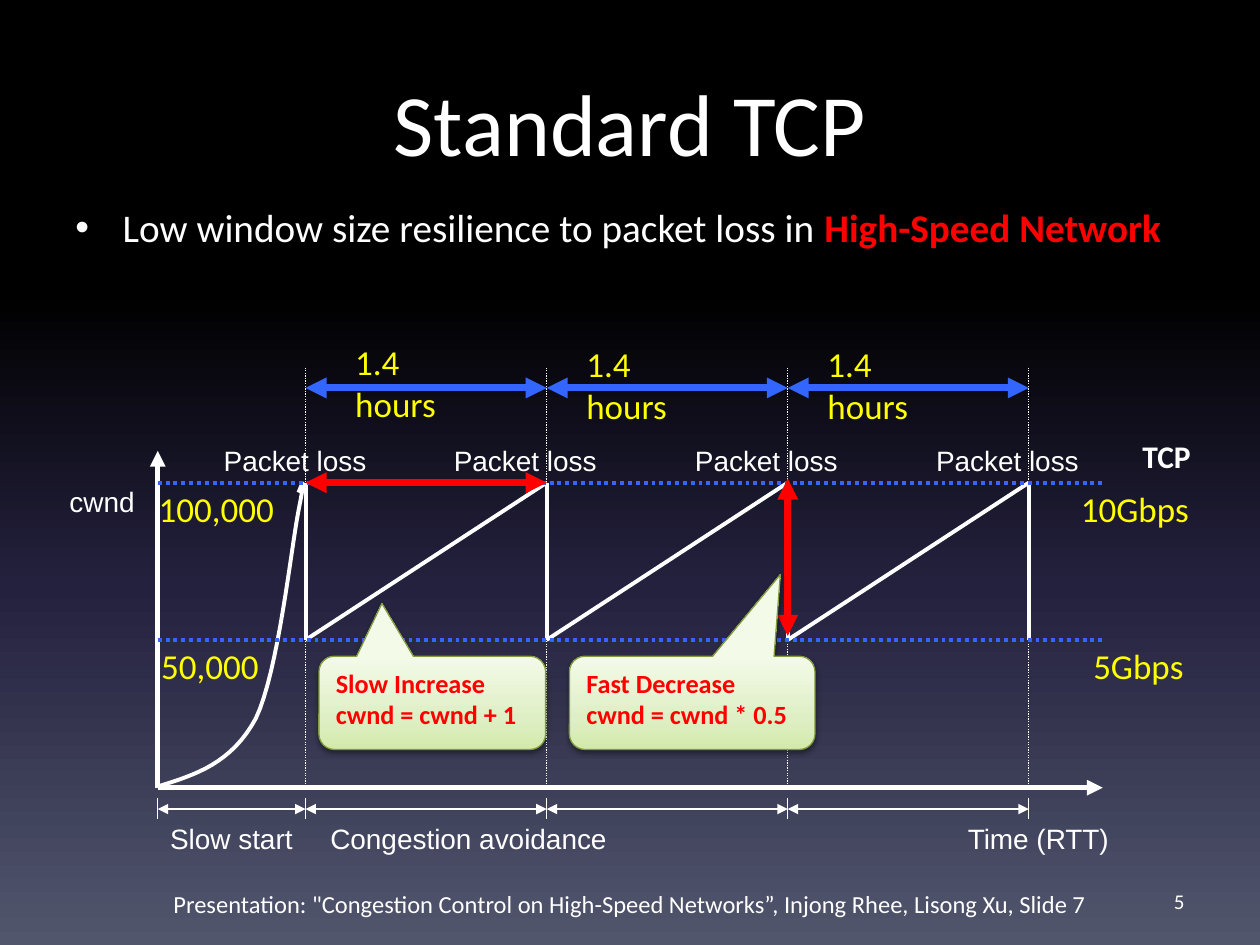
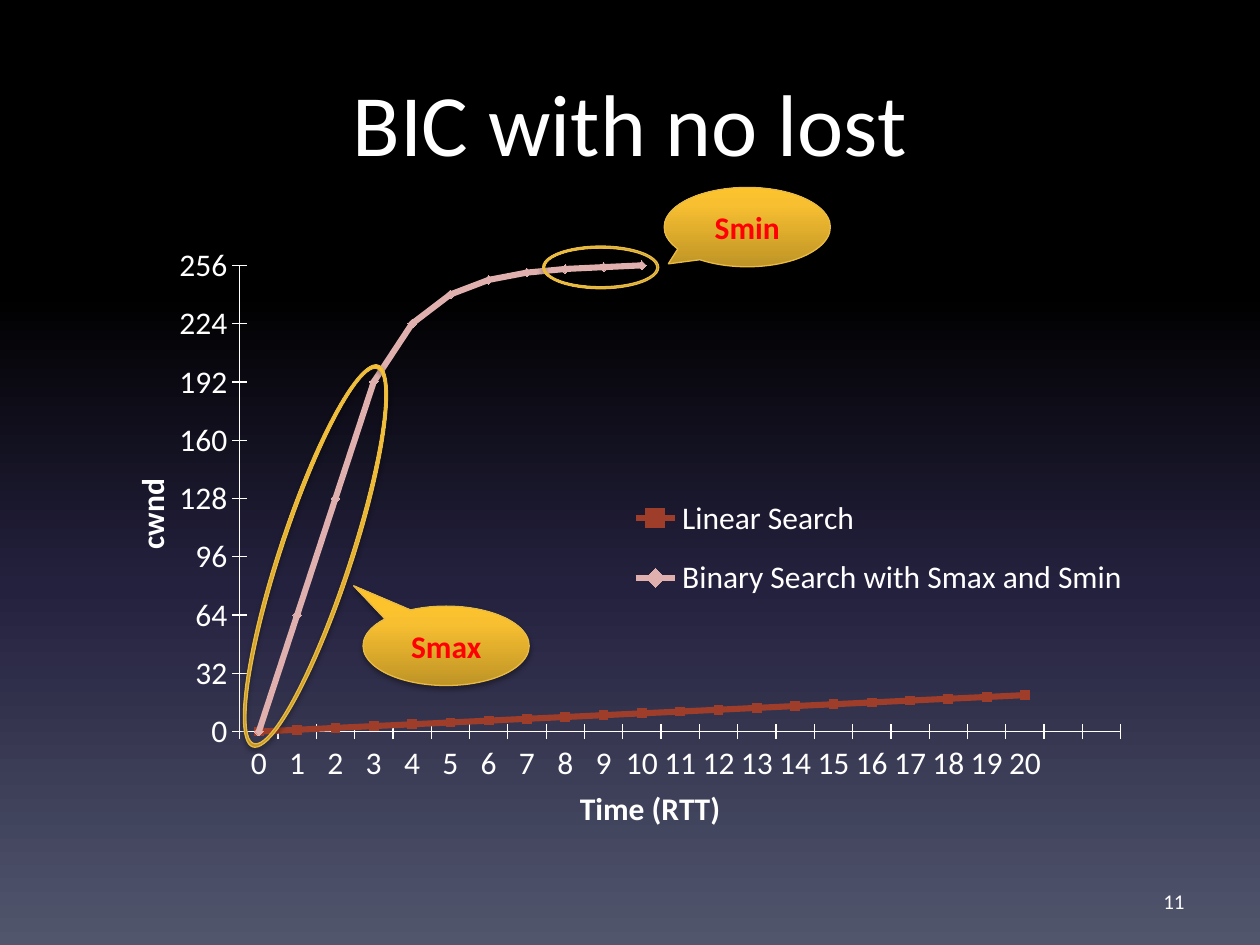
import pptx
import pptx.chart.data
import pptx.dml.color
import pptx.enum.chart
import pptx.enum.dml
import pptx.enum.shapes
import pptx.enum.text
import pptx.oxml
import pptx.oxml.ns
import pptx.util

Cm, Pt, qn = pptx.util.Cm, pptx.util.Pt, pptx.oxml.ns.qn
SHAPE = pptx.enum.shapes.MSO_SHAPE
ALIGN = pptx.enum.text.PP_ALIGN
ANCHOR = pptx.enum.text.MSO_ANCHOR
NS = 'xmlns:a="http://schemas.openxmlformats.org/drawingml/2006/main"'
CNS = 'xmlns:c="http://schemas.openxmlformats.org/drawingml/2006/chart"'

WHITE, RED, YELLOW, BLUE = "FFFFFF", "FF0000", "FFFF00", "3366FF"
NIGHT = [(0, "000000"), (31, "000000"), (62, "24213E"), (100, "51566D")]
GREEN = [(0, "D3EAAB"), (35, "DFEFC5"), (100, "F3FAE8")]
GOLD = [(0, "BF9426"), (80, "F8C031"), (100, "FDC32D")]
GREEN_LINE, GOLD_LINE = "819B3D", "E7BA45"
LINEAR, BINARY = "9E3E2A", "E0B0AE"


def rgb(color):
    """Turn a hex string into a colour."""
    return pptx.dml.color.RGBColor.from_string(color)


def xml(tag, attrs="", inner="", ns=NS):
    """Make one XML element."""
    return pptx.oxml.parse_xml(f"<{tag} {ns} {attrs}>{inner}</{tag}>")


def gradient(fill, element, stops, angle):
    """Fill with a linear gradient of several stops."""
    fill.gradient()
    fill.gradient_angle = angle
    stop_list = element.find(".//" + qn("a:gsLst"))
    for old in list(stop_list):
        stop_list.remove(old)
    for pos, color in stops:
        stop_list.append(xml("a:gs", f'pos="{pos * 1000}"', f'<a:srgbClr val="{color}"/>'))


def style(p, size, color=WHITE, font="Calibri", bold=False):
    """Format all runs of a paragraph."""
    for r in p.runs:
        r.font.size, r.font.name, r.font.bold = Pt(size), font, bold
        r.font.color.rgb = rgb(color)


def text(s, x, y, w, h, words, size, color=WHITE, font="Calibri", bold=False,
         align=ALIGN.LEFT, anchor=ANCHOR.TOP, wrap=False):
    """Add a text box and return its text frame."""
    tf = s.shapes.add_textbox(Cm(x), Cm(y), Cm(w), Cm(h)).text_frame
    tf.word_wrap, tf.vertical_anchor = wrap, anchor
    tf.text = words
    tf.paragraphs[0].alignment = align
    style(tf.paragraphs[0], size, color, font, bold)
    return tf


def label(s, x, y, w, words):
    """Add a small diagram label."""
    text(s, x, y, w, 0.94, words, 16, font="Arial")


def value(s, x, y, w, words):
    """Add a yellow value."""
    text(s, x, y, w, 1.12, words, 20, YELLOW)


def line(s, x1, y1, x2, y2, width, color=WHITE, dotted=False, head=False, tail=False):
    """Add a straight line with optional arrowheads."""
    c = s.shapes.add_connector(pptx.enum.shapes.MSO_CONNECTOR.STRAIGHT,
                               Cm(x1), Cm(y1), Cm(x2), Cm(y2))
    c.line.width, c.line.color.rgb = Pt(width), rgb(color)
    if dotted:
        c.line.dash_style = pptx.enum.dml.MSO_LINE.ROUND_DOT
    ln = c.line._get_or_add_ln()
    for tag, wanted in (("a:headEnd", head), ("a:tailEnd", tail)):
        if wanted:
            ln.append(xml(tag, 'type="triangle"'))
    c._element.spPr.append(xml("a:effectLst"))


def glossy(s, kind, box, adjustments, stops, edge, shadow):
    """Add a gradient shape with a soft shadow below it."""
    sp = s.shapes.add_shape(kind, *map(Cm, box))
    for i, adj in enumerate(adjustments):
        sp.adjustments[i] = adj
    gradient(sp.fill, sp._element, stops, 90)
    sp.line.color.rgb, sp.line.width = rgb(edge), Pt(0.75)
    sp.shadow.inherit = False
    sp._element.spPr.find(qn("a:effectLst")).append(xml(
        "a:outerShdw", 'blurRad="39400" dist="21600" dir="5400000" rotWithShape="0"',
        f'<a:srgbClr val="000000"><a:alpha val="{shadow * 1000}"/></a:srgbClr>'))
    return sp


def callout(s, kind, box, adjustments, stops, edge, shadow, words, size, align, anchor):
    """Add a callout with bold red text."""
    tf = glossy(s, kind, box, adjustments, stops, edge, shadow).text_frame
    tf.text, tf.vertical_anchor = words, anchor
    for p in tf.paragraphs:
        p.alignment = align
        style(p, size, RED, bold=True)


def base_slide(prs, title, number):
    """Add a slide with background, title and slide number."""
    s = prs.slides.add_slide(prs.slide_layouts[6])
    gradient(s.background.fill, s._element, NIGHT, 270)
    text(s, 1.27, 1.27, 22.86, 3.18, title, 50, align=ALIGN.CENTER, wrap=True)
    text(s, 18.2, 17.65, 5.93, 1.02, number, 12, align=ALIGN.RIGHT,
         anchor=ANCHOR.MIDDLE, wrap=True)
    return s


def bullet(s, x, y, w, h, words, strong):
    """Add a bullet line ending in bold red words."""
    tf = text(s, x, y, w, h, words, 22.4, anchor=ANCHOR.MIDDLE, wrap=True)
    p = tf.paragraphs[0]
    p.line_spacing, p.space_before = 1.3, Pt(4.5)
    r = p.add_run()
    r.text = strong
    style(p, 22.4)
    r.font.bold, r.font.color.rgb = True, rgb(RED)
    pPr = p._p.get_or_add_pPr()
    pPr.set("marL", "342900")
    pPr.set("indent", "-342900")
    pPr.append(xml("a:buFont", 'typeface="Arial"'))
    pPr.append(xml("a:buChar", 'char="•"'))


def bezier(p0, p1, p2, p3, steps=16):
    """Give points along a cubic curve, without its start."""
    for i in range(1, steps + 1):
        t = i / steps
        u = 1 - t
        yield tuple(u**3 * a + 3 * u * u * t * b + 3 * u * t * t * c + t**3 * d
                    for a, b, c, d in zip(p0, p1, p2, p3))


def slow_start(s, x, y):
    """Draw the slow start curve from the origin of the plot."""
    knots = [(0, 0), (0.74, -0.23), (1.47, -0.46), (1.96, -1.37), (2.41, -2.31),
             (2.67, -4.8), (2.82, -5.56), (2.97, -6.32), (2.9, -6.12), (2.82, -5.92)]
    points = [pt for i in (0, 3, 6) for pt in bezier(*knots[i:i + 4])]
    fb = s.shapes.build_freeform(Cm(x), Cm(y))
    fb.add_line_segments([(Cm(x + dx), Cm(y + dy)) for dx, dy in points], close=False)
    sp = fb.convert_to_shape()
    sp.fill.background()
    sp.line.color.rgb, sp.line.width = rgb(WHITE), Pt(2.25)
    sp.shadow.inherit = False


def sawtooth(s, x, y, w, h):
    """Draw the window size over time in a plot box."""
    right, bottom, high, low = x + w, y + h, y + 0.64, y + 3.81
    losses = [x + 2.98 + 4.86 * i for i in range(4)]
    periods = list(zip(losses, losses[1:]))
    line(s, x, y, x, bottom, 3, head=True)
    line(s, x, bottom, right, bottom, 3, tail=True)
    for start, end in periods:
        line(s, start, low, end, high, 2.25)
    for loss, shift in zip(losses, (1.9, 2.12, 2.12, 2.12)):
        line(s, loss, high, loss, low, 2.25)
        line(s, loss, y - 1.68, loss, bottom, 0.75, dotted=True)
        label(s, loss - shift, y - 0.28, 3.4, "Packet loss")
    slow_start(s, x + 0.02, bottom - 0.03)

    marks = [x] + losses
    for mark in marks:
        line(s, mark, bottom + 0.2, mark, bottom + 0.64, 0.75)
    for start, end in zip(marks, marks[1:]):
        line(s, start, bottom + 0.43, end, bottom + 0.43, 0.75, head=True, tail=True)
    for dx, width, words in ((0, 3, "Slow start"), (3.23, 6.1, "Congestion avoidance"),
                             (16.08, 3.4, "Time (RTT)")):
        label(s, x + dx, bottom + 0.56, width, words)
    label(s, x - 2.03, y + 0.56, 1.83, "cwnd")

    for level, size, x1, w1, rate, x2, w2 in (
            (high, "100,000", -0.23, 2.84, "10Gbps", 18.36, 2.72),
            (low, "50,000", -0.18, 2.49, "5Gbps", 18.61, 2.39)):
        line(s, x, level, right, level, 2.25, BLUE, dotted=True)
        value(s, x + x1, level - 0.03, w1, size)
        value(s, x + x2, level - 0.03, w2, rate)
    for (start, end), dx, dy in zip(periods, (0.75, 0.55, 0.55), (0.05, 0, 0)):
        line(s, start, y - 1.27, end, y - 1.27, 4, BLUE, head=True, tail=True)
        value(s, start + dx, y - 2.31 - dy, 3.18, "1.4 hours")
    text(s, x + 19.6, y - 0.4, 1.78, 1.02, "TCP", 18, bold=True)
    line(s, losses[2], high - 0.08, losses[2], low - 0.08, 4, RED, head=True, tail=True)
    line(s, losses[0], high, losses[1], high, 4, RED, head=True, tail=True)

    for dx, width, adj, words in (
            (3.25, 4.57, (-0.222, -1.066, 0.167), "Slow Increase\ncwnd = cwnd + 1"),
            (8.3, 4.95, (0.359, -1.377, 0.167), "Fast Decrease\ncwnd = cwnd * 0.5")):
        callout(s, SHAPE.ROUNDED_RECTANGULAR_CALLOUT, (x + dx, y + 4.14, width, 1.88), adj,
                GREEN, GREEN_LINE, 38, words, 15, ALIGN.LEFT, ANCHOR.TOP)


def manual_layout(parent, x, y, w, h, inner=False):
    """Fix the place of a chart part as shares of the chart."""
    for old in parent.findall(qn("c:layout")):
        parent.remove(old)
    tags = [("layoutTarget", "inner")] if inner else []
    tags += [("xMode", "edge"), ("yMode", "edge"), ("x", x), ("y", y), ("w", w), ("h", h)]
    parts = "".join(f'<c:{tag} val="{val}"/>' for tag, val in tags)
    layout = xml("c:layout", inner=f"<c:manualLayout>{parts}</c:manualLayout>", ns=CNS)
    before = parent.find(qn("c:legendPos"))
    parent.insert(0 if before is None else parent.index(before) + 1, layout)


def axis_style(axis, title):
    """Format an axis with crossing ticks and a bold title."""
    axis.has_major_gridlines = False
    axis.major_tick_mark = pptx.enum.chart.XL_TICK_MARK.CROSS
    axis.format.line.color.rgb, axis.format.line.width = rgb(WHITE), Pt(0.75)
    tf = axis.axis_title.text_frame
    tf.text = title
    style(tf.paragraphs[0], 18, bold=True)


def search_chart(s, x, y, w, h):
    """Add the line chart comparing both searches."""
    data = pptx.chart.data.CategoryChartData()
    data.categories = [str(i) for i in range(21)] + ["", ""]
    binary = [0, 64, 128, 192, 224, 240, 248, 252, 254, 255, 256]
    data.add_series("Linear Search", list(range(21)) + [None] * 2)
    data.add_series("Binary Search with Smax and Smin", binary + [None] * 12)
    chart = s.shapes.add_chart(pptx.enum.chart.XL_CHART_TYPE.LINE_MARKERS,
                               Cm(x), Cm(y), Cm(w), Cm(h), data).chart
    chart.has_title = False
    chart.font.size, chart.font.name, chart.font.color.rgb = Pt(18), "Calibri", rgb(WHITE)
    axis_style(chart.category_axis, "Time (RTT)")
    axis_style(chart.value_axis, "cwnd")
    axis = chart.value_axis
    axis.minimum_scale, axis.maximum_scale, axis.major_unit = 0, 256, 32
    chart.has_legend = True
    chart.legend.include_in_layout = False
    manual_layout(chart.legend._element, 0.5, 0.41, 0.5, 0.23)
    plot = chart.plots[0]
    plot.vary_by_categories = False
    manual_layout(chart._chartSpace.chart.plotArea, 0.114, 0.061, 0.872, 0.765, inner=True)
    markers = pptx.enum.chart.XL_MARKER_STYLE
    for series, color, marker in zip(plot.series, (LINEAR, BINARY),
                                     (markers.SQUARE, markers.DIAMOND)):
        series.smooth = False
        series.format.line.color.rgb, series.format.line.width = rgb(color), Pt(3.5)
        series.marker.style, series.marker.size = marker, 5
        series.marker.format.fill.solid()
        series.marker.format.fill.fore_color.rgb = rgb(color)
        series.marker.format.line.color.rgb = rgb(color)


def search_marks(s, x, y):
    """Ring and name the two limits on the chart."""
    for dx, dy, w, h, turn in ((3.1, 2.56, 1.5, 8.1, 18.2), (9.17, -0.38, 0.86, 2.34, 270)):
        ring = glossy(s, SHAPE.DONUT, (x + dx, y + dy, w, h), [0.047], GOLD, GOLD_LINE, 35)
        ring.rotation = turn
    for dx, dy, adj, words in ((4.81, 7.62, (-0.557, -0.757), "Smax"),
                               (10.88, -0.82, (-0.475, 0.463), "Smin")):
        callout(s, SHAPE.OVAL_CALLOUT, (x + dx, y + dy, 3.35, 1.6), adj, GOLD, GOLD_LINE, 35,
                words, 18, ALIGN.CENTER, ANCHOR.MIDDLE)


def main():
    """Build both slides."""
    prs = pptx.Presentation()
    prs.slide_width, prs.slide_height = Cm(25.4), Cm(19.05)

    s = base_slide(prs, "Standard TCP", "5")
    bullet(s, 1.27, 3.58, 22.86, 1.7, "Low window size resilience to packet loss in ",
           "High-Speed Network")
    sawtooth(s, 3.18, 9.09, 19.05, 6.79)
    text(s, 0, 17.8, 25.4, 0.86, 'Presentation: "Congestion Control on High-Speed Networks”, '
         "Injong Rhee, Lisong Xu, Slide 7", 14, align=ALIGN.CENTER, wrap=True)

    s = base_slide(prs, "BIC with no lost", "11")
    search_chart(s, 2.51, 4.6, 20.37, 12.29)
    search_marks(s, 2.51, 4.6)
    prs.save("out.pptx")


if __name__ == "__main__":
    main()
